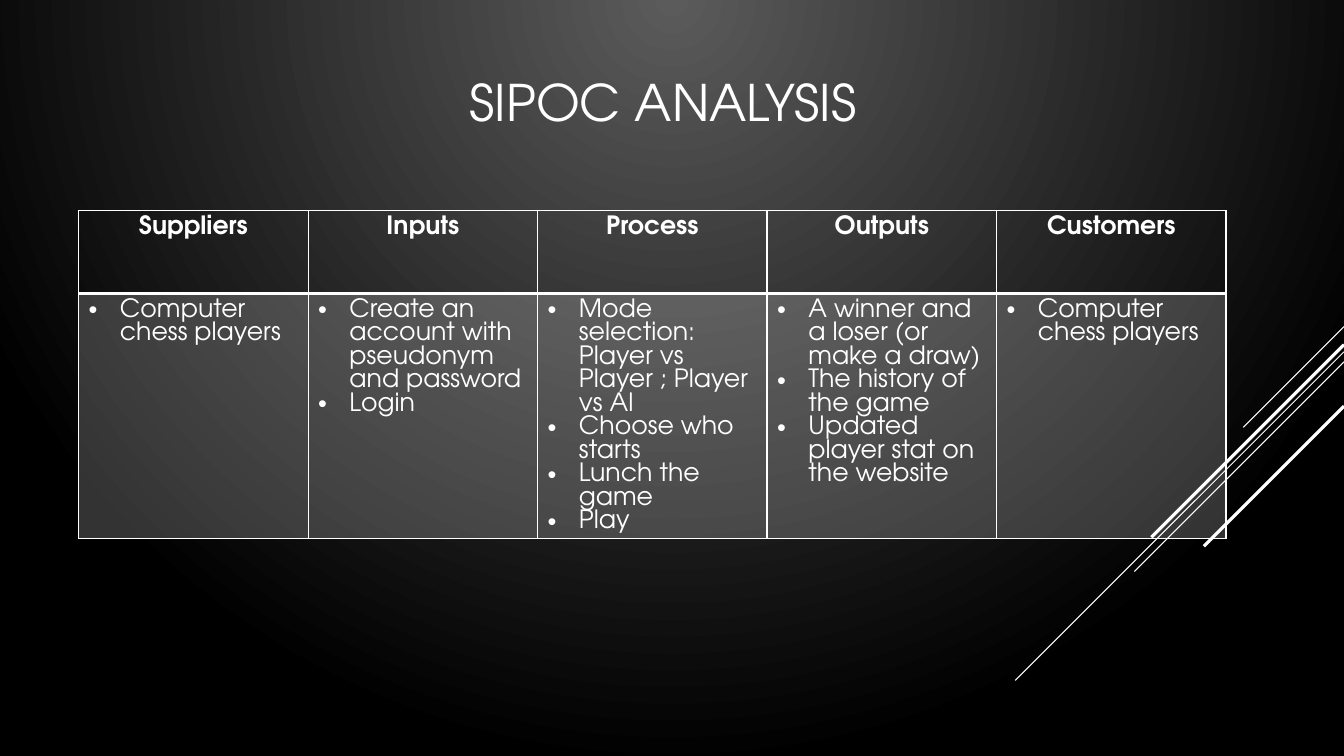
from dataclasses import dataclass

from lxml.etree import SubElement
from pptx import Presentation
from pptx.dml.color import RGBColor
from pptx.enum.shapes import MSO_CONNECTOR
from pptx.enum.text import MSO_ANCHOR, PP_ALIGN
from pptx.oxml.ns import qn
from pptx.slide import Slide
from pptx.table import _Cell as Cell
from pptx.text.text import _Paragraph as Paragraph
from pptx.util import Inches, Pt

FONT = "TeX Gyre Adventor"
COLORS = {"white": "FFFFFF", "glow": "5B5B5B", "black": "000000"}
NO_STYLE_ID = "{2D5ABB26-0587-4C30-8999-92F81FD0307C}"
SLIDE_WIDTH, SLIDE_HEIGHT = 13.33, 7.5
TABLE_LEFT, TABLE_TOP, TABLE_WIDTH = 0.78, 2.09, 11.38
ROW_HEIGHTS = (0.82, 2.43)
BULLET_INDENT = 0.31
THIN_BORDER, THICK_BORDER = 1, 2


@dataclass(frozen=True)
class Streak:
    """A diagonal at 45 degrees, running down and left from the right slide edge."""
    top: float
    length: float
    weight: float


@dataclass(frozen=True)
class SipocColumn:
    heading: str
    items: tuple[str, ...]


STREAKS = (
    Streak(3.24, 1.0, 0.75),
    Streak(3.49, 3.26, 0.75),
    Streak(3.59, 2.08, 0.75),
    Streak(3.42, 1.91, 2.25),
    Streak(4.03, 1.39, 2.25),
)

COLUMNS = (
    SipocColumn("Suppliers", ("Computer chess players",)),
    SipocColumn("Inputs", ("Create an account with pseudonym and password", "Login")),
    SipocColumn("Process", (
        "Mode selection: Player vs Player ; Player vs AI",
        "Choose who starts",
        "Lunch the game",
        "Play",
    )),
    SipocColumn("Outputs", (
        "A winner and a loser (or make a draw)",
        "The history of the game",
        "Updated player stat on the website",
    )),
    SipocColumn("Customers", ("Computer chess players",)),
)


def rgb(name: str) -> RGBColor:
    return RGBColor.from_string(COLORS[name])


def write_text(paragraph: Paragraph, text: str, *, size: float = 18, bold: bool = False,
               align: PP_ALIGN = PP_ALIGN.LEFT, bullet: bool = False) -> None:
    paragraph.alignment = align
    run = paragraph.add_run()
    run.text = text
    run.font.name = FONT
    run.font.size = Pt(size)
    run.font.bold = bold
    run.font.color.rgb = rgb("white")
    if bullet:
        properties = paragraph._p.get_or_add_pPr()
        properties.set("marL", str(Inches(BULLET_INDENT)))
        properties.set("indent", str(-Inches(BULLET_INDENT)))
        SubElement(properties, qn("a:buFont"), typeface="Arial")
        SubElement(properties, qn("a:buChar"), char="•")


def paint_background(slide: Slide) -> None:
    """Fill the slide with a round glow centred on its top edge."""
    fill = slide.background.fill
    fill.gradient()
    for stop, name in zip(fill.gradient_stops, ("glow", "black")):
        stop.color.rgb = rgb(name)
    for stop, position in zip(fill.gradient_stops, (0, 1)):
        stop.position = position
    gradient = slide._element.find(".//" + qn("a:gradFill"))
    gradient.remove(gradient.find(qn("a:lin")))
    circle = SubElement(gradient, qn("a:path"), path="circle")
    SubElement(circle, qn("a:fillToRect"), l="0", t="0", r="0", b="100000")


def draw_streak(slide: Slide, streak: Streak) -> None:
    line = slide.shapes.add_connector(
        MSO_CONNECTOR.STRAIGHT,
        Inches(SLIDE_WIDTH), Inches(streak.top),
        Inches(SLIDE_WIDTH - streak.length), Inches(streak.top + streak.length),
    )
    line.line.color.rgb = rgb("white")
    line.line.width = Pt(streak.weight)
    SubElement(line._element.spPr, qn("a:effectLst"))


def set_borders(cell: Cell, *, top: float = THIN_BORDER, bottom: float = THIN_BORDER) -> None:
    properties = cell._tc.get_or_add_tcPr()
    weights = {"lnL": THIN_BORDER, "lnR": THIN_BORDER, "lnT": top, "lnB": bottom}
    for position, (edge, weight) in enumerate(weights.items()):
        border = SubElement(properties, qn(f"a:{edge}"), w=str(Pt(weight)))
        solid = SubElement(border, qn("a:solidFill"))
        SubElement(solid, qn("a:srgbClr"), val=COLORS["white"])
        properties.insert(position, border)


def fill_translucent(cell: Cell) -> None:
    cell.fill.solid()
    cell.fill.fore_color.rgb = rgb("white")
    color = cell._tc.tcPr.find(".//" + qn("a:srgbClr"))
    SubElement(color, qn("a:alpha"), val="20000")


def add_title(slide: Slide, text: str) -> None:
    title = slide.shapes.title
    title.left, title.top = Inches(4.56), Inches(0.18)
    title.width, title.height = Inches(4.22), Inches(1.65)
    title.text_frame.vertical_anchor = MSO_ANCHOR.MIDDLE
    write_text(title.text_frame.paragraphs[0], text, size=36)


def add_sipoc_table(slide: Slide) -> None:
    frame = slide.shapes.add_table(
        len(ROW_HEIGHTS), len(COLUMNS), Inches(TABLE_LEFT), Inches(TABLE_TOP),
        Inches(TABLE_WIDTH), Inches(sum(ROW_HEIGHTS)),
    )
    table = frame.table
    table._tbl.tblPr.find(qn("a:tableStyleId")).text = NO_STYLE_ID
    table.horz_banding = False
    for row, height in zip(table.rows, ROW_HEIGHTS):
        row.height = Inches(height)

    for index, column in enumerate(COLUMNS):
        header, body = table.cell(0, index), table.cell(1, index)
        header.fill.background()
        write_text(header.text_frame.paragraphs[0], column.heading,
                   bold=True, align=PP_ALIGN.CENTER)
        set_borders(header, bottom=THICK_BORDER)

        fill_translucent(body)
        for number, item in enumerate(column.items):
            text_frame = body.text_frame
            paragraph = text_frame.add_paragraph() if number else text_frame.paragraphs[0]
            write_text(paragraph, item, bullet=True)
        set_borders(body, top=THICK_BORDER)


def main() -> None:
    presentation = Presentation()
    presentation.slide_width = Inches(SLIDE_WIDTH)
    presentation.slide_height = Inches(SLIDE_HEIGHT)
    title_only = presentation.slide_layouts.get_by_name("Title Only")
    slide = presentation.slides.add_slide(title_only)
    paint_background(slide)
    for streak in STREAKS:
        draw_streak(slide, streak)
    add_title(slide, "SIPOC ANALYSIS")
    add_sipoc_table(slide)
    presentation.save("out.pptx")


if __name__ == "__main__":
    main()
